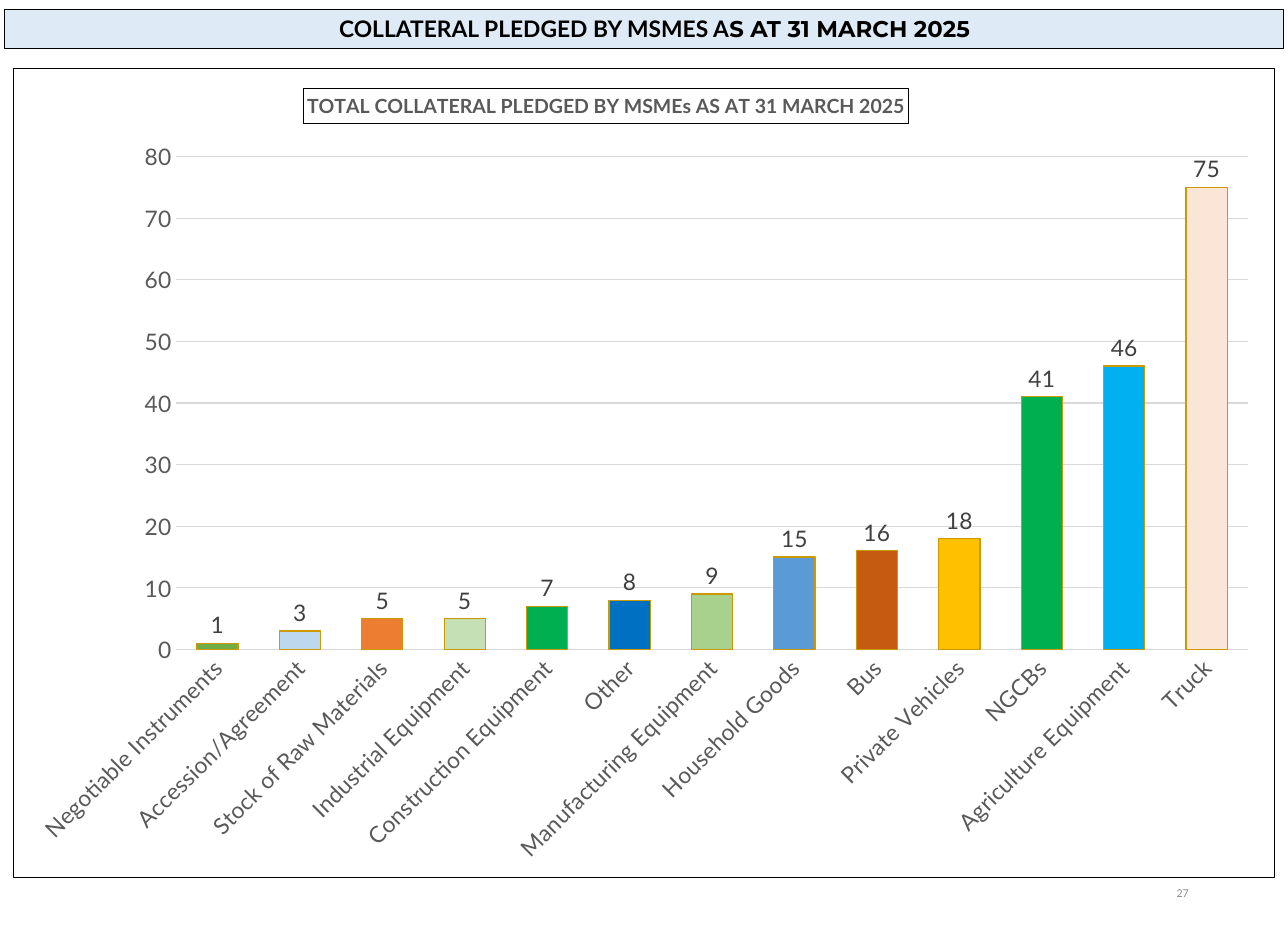
import pptx
import pptx.util
import pptx.dml.color
import pptx.chart.data
import pptx.enum.chart
import pptx.enum.text
import pptx.oxml

Cm = pptx.util.Cm
Pt = pptx.util.Pt
NS = "http://schemas.openxmlformats.org/drawingml/2006/chart"
MAIN = "http://schemas.openxmlformats.org/drawingml/2006/main"

HUES = {
    "black": "000000", "white": "FFFFFF", "band": "DEEBF7", "text": "595959",
    "label": "404040", "page": "8C8C8C", "grid": "D9D9D9", "base": "002060",
    "edge": "CC9900", "lime": "70AD47", "pale": "BDD7EE", "orange": "ED7D31",
    "mint": "C5E0B4", "green": "00B050", "blue": "0070C0", "sage": "A9D18E",
    "steel": "5B9BD5", "rust": "C55A11", "gold": "FFC000", "sky": "00B0F0",
    "peach": "FBE5D6",
}

GOODS = [
    ("Negotiable Instruments", 1, "lime"),
    ("Accession/Agreement", 3, "pale"),
    ("Stock of Raw Materials", 5, "orange"),
    ("Industrial Equipment", 5, "mint"),
    ("Construction Equipment", 7, "green"),
    ("Other", 8, "blue"),
    ("Manufacturing Equipment", 9, "sage"),
    ("Household Goods", 15, "steel"),
    ("Bus", 16, "rust"),
    ("Private Vehicles", 18, "gold"),
    ("NGCBs", 41, "green"),
    ("Agriculture Equipment", 46, "sky"),
    ("Truck", 75, "peach"),
]


def apply(item, values):
    for name, value in values.items():
        setattr(item, name, value)


def color(name):
    return pptx.dml.color.RGBColor.from_string(HUES[name])


def style(font, size, hue, name="Lato", bold=False):
    apply(font, {"size": Pt(size), "name": name, "bold": bold})
    font.color.rgb = color(hue)


def stroke(line, hue, width):
    line.color.rgb = color(hue)
    line.width = Pt(width)


def paint(item, fill, edge, width):
    item.fill.solid()
    item.fill.fore_color.rgb = color(fill)
    stroke(item.line, edge, width)


def layout(x, y, w=None, h=None, inner=False):
    parts = '<c:layoutTarget val="inner"/>' if inner else ""
    parts += '<c:xMode val="edge"/><c:yMode val="edge"/>'
    for name, value in zip("xywh", (x, y, w, h)):
        if value is not None:
            parts += f'<c:{name} val="{value}"/>'
    return pptx.oxml.parse_xml(
        f'<c:layout xmlns:c="{NS}"><c:manualLayout>{parts}'
        '</c:manualLayout></c:layout>')


def clear(node):
    for old in node.findall(f"{{{NS}}}layout"):
        node.remove(old)


def add_title(slide):
    title = slide.shapes.title
    apply(title, {"left": Cm(0.1), "top": Cm(0.2),
                  "width": Cm(27.74), "height": Cm(0.84)})
    paint(title, "band", "black", 0.25)
    apply(title.text_frame, {
        "auto_size": pptx.enum.text.MSO_AUTO_SIZE.NONE,
        "vertical_anchor": pptx.enum.text.MSO_ANCHOR.BOTTOM,
        "word_wrap": True})
    para = title.text_frame.paragraphs[0]
    apply(para, {"alignment": pptx.enum.text.PP_ALIGN.CENTER,
                 "line_spacing": 0.9, "space_after": Pt(5.1)})
    props = para._p.get_or_add_pPr()
    props.set("marL", str(Cm(0.79)))
    props.set("indent", str(Cm(-0.33)))
    for text, face in (("COLLATERAL PLEDGED BY MSMES A", "Lato"),
                       ("S AT 31 MARCH 2025", "Montserrat")):
        run = para.add_run()
        run.text = text
        style(run.font, 14, "black", face, True)


def add_page(slide):
    box = slide.shapes.add_textbox(Cm(19.74), Cm(18.82), Cm(6.3), Cm(1.09))
    apply(box.text_frame, {
        "word_wrap": True,
        "vertical_anchor": pptx.enum.text.MSO_ANCHOR.MIDDLE})
    para = box.text_frame.paragraphs[0]
    para.alignment = pptx.enum.text.PP_ALIGN.RIGHT
    run = para.add_run()
    run.text = "27"
    style(run.font, 7.4, "page", "Calibri")


def add_head(chart):
    head = chart.chart_title
    run = head.text_frame.paragraphs[0].add_run()
    run.text = "TOTAL COLLATERAL PLEDGED BY MSMEs AS AT 31 MARCH 2025"
    style(run.font, 12, "text", bold=True)
    stroke(head.format.line, "black", 0.75)
    node = head._element
    clear(node)
    node.find(f"{{{NS}}}tx").addnext(layout(0.23, 0.025))


def set_axes(chart):
    ticks = pptx.enum.chart.XL_TICK_MARK.NONE
    for axis in (chart.category_axis, chart.value_axis):
        apply(axis, {"major_tick_mark": ticks, "minor_tick_mark": ticks})
        style(axis.tick_labels.font, 14, "text")
    goods, count = chart.category_axis, chart.value_axis
    stroke(goods.format.line, "grid", 1)
    body = goods._element.find(f"{{{NS}}}txPr/{{{MAIN}}}bodyPr")
    body.set("rot", "-2700000")
    body.set("vert", "horz")
    apply(count, {"minimum_scale": 0, "maximum_scale": 80, "major_unit": 10,
                  "has_major_gridlines": True})
    count.format.line.fill.background()
    stroke(count.major_gridlines.format.line, "grid", 0.75)


def set_bars(chart):
    plot = chart.plots[0]
    apply(plot, {"gap_width": 100, "overlap": -24,
                 "vary_by_categories": False, "has_data_labels": True})
    apply(plot.data_labels, {
        "show_value": True,
        "position": pptx.enum.chart.XL_LABEL_POSITION.OUTSIDE_END})
    style(plot.data_labels.font, 14, "label")
    bars = plot.series[0]
    paint(bars.format, "base", "edge", 0.75)
    for index, (_, _, hue) in enumerate(GOODS):
        paint(bars.points[index].format, hue, "edge", 0.75)


def set_frame(chart):
    root = chart._chartSpace
    area = root.find(f"{{{NS}}}chart/{{{NS}}}plotArea")
    clear(area)
    area.insert(0, layout(0.129, 0.109, 0.85, 0.609, True))
    frame = pptx.oxml.parse_xml(
        f'<c:spPr xmlns:c="{NS}" xmlns:a="{MAIN}">'
        f'<a:solidFill><a:srgbClr val="{HUES["white"]}"/></a:solidFill>'
        f'<a:ln w="{Pt(0.75)}"><a:solidFill>'
        f'<a:srgbClr val="{HUES["black"]}"/></a:solidFill></a:ln></c:spPr>')
    root.find(f"{{{NS}}}chart").addnext(frame)


def add_chart(slide):
    data = pptx.chart.data.CategoryChartData()
    data.categories = [name for name, _, _ in GOODS]
    data.add_series("Series 1", [value for _, value, _ in GOODS])
    chart = slide.shapes.add_chart(
        pptx.enum.chart.XL_CHART_TYPE.COLUMN_CLUSTERED,
        Cm(0.28), Cm(1.47), Cm(27.38), Cm(17.58), data).chart
    chart.has_legend = False
    style(chart.font, 14, "black")
    add_head(chart)
    set_axes(chart)
    set_bars(chart)
    set_frame(chart)


def main():
    deck = pptx.Presentation()
    apply(deck, {"slide_width": Cm(27.94), "slide_height": Cm(20.32)})
    slide = deck.slides.add_slide(deck.slide_layouts[5])
    add_title(slide)
    add_page(slide)
    add_chart(slide)
    deck.save("out.pptx")


if __name__ == "__main__":
    main()
